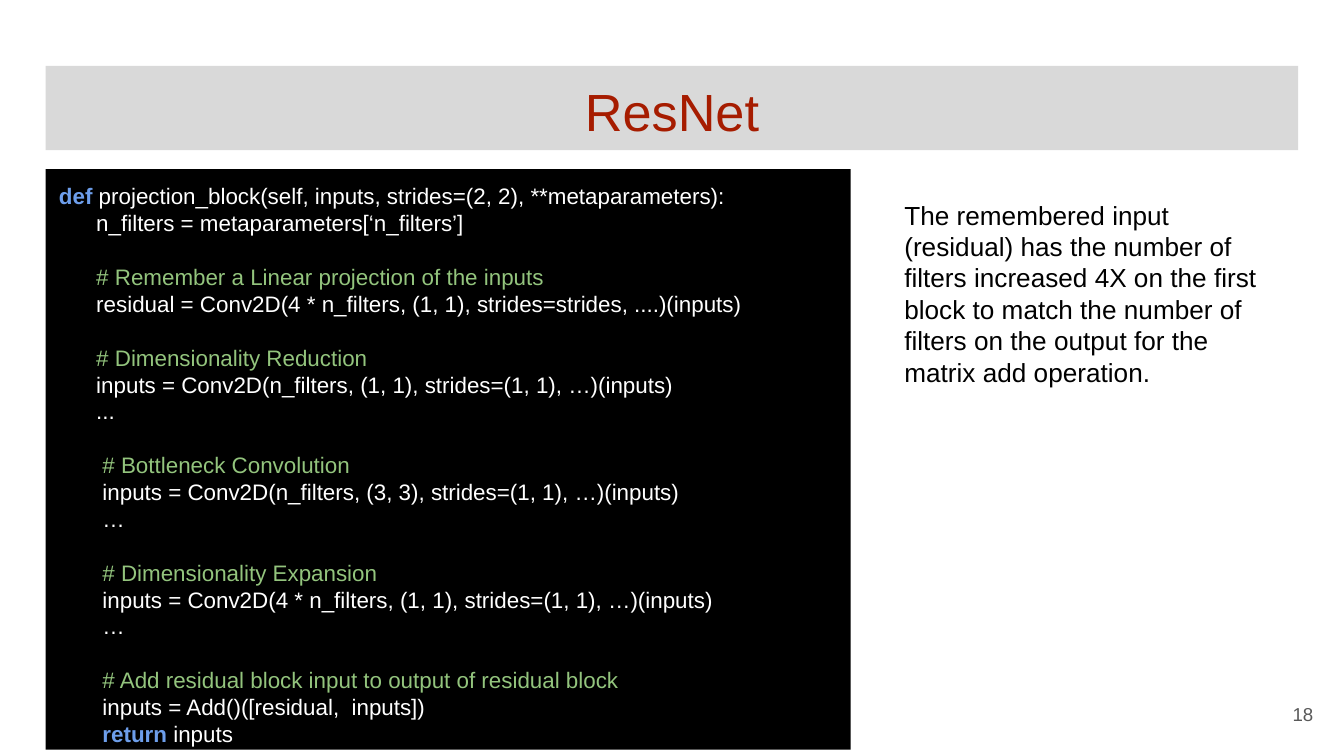
from pptx import Presentation
from pptx.dml.color import RGBColor
from pptx.enum.shapes import MSO_SHAPE
from pptx.enum.text import MSO_ANCHOR, PP_ALIGN
from pptx.util import Pt

COLORS = {
    "banner": "D9D9D9",
    "title": "A61C00",
    "panel": "000000",
    "keyword": "6D9EEB",
    "comment": "93C47D",
    "code": "FFFFFF",
    "body": "000000",
    "number": "595959",
}
FONT = "Arial"
LEADING = 1.2
CODE_SIZE = 12
SPACE_WIDTH = 3.33

# Each block is (indent in spaces, lines); a gap separates the blocks.
CODE_BLOCKS = [
    (0, ["def projection_block(self, inputs, strides=(2, 2), **metaparameters):"]),
    (6, ["n_filters = metaparameters[‘n_filters’]"]),
    (6, ["# Remember a Linear projection of the inputs",
         "residual = Conv2D(4 * n_filters, (1, 1), strides=strides, ....)(inputs)"]),
    (6, ["# Dimensionality Reduction",
         "inputs = Conv2D(n_filters, (1, 1), strides=(1, 1), …)(inputs)",
         "..."]),
    (7, ["# Bottleneck Convolution",
         "inputs = Conv2D(n_filters, (3, 3), strides=(1, 1), …)(inputs)",
         "…"]),
    (7, ["# Dimensionality Expansion",
         "inputs = Conv2D(4 * n_filters, (1, 1), strides=(1, 1), …)(inputs)",
         "…"]),
    (7, ["# Add residual block input to output of residual block",
         "inputs = Add()([residual,  inputs])",
         "return inputs"]),
]
NOTE = ("The remembered input (residual) has the number of filters increased 4X "
        "on the first block to match the number of filters on the output for the "
        "matrix add operation.")


def color(name):
    return RGBColor.from_string(COLORS[name])


def prepare_frame(box, anchor=MSO_ANCHOR.TOP):
    frame = box.text_frame
    frame.word_wrap = True
    frame.vertical_anchor = anchor
    frame.margin_left = frame.margin_right = Pt(7.2)
    frame.margin_top = frame.margin_bottom = Pt(7.2)
    return frame


def add_panel(page, left, top, width, height, fill):
    """Add a borderless filled rectangle and return its text frame."""
    panel = page.shapes.add_shape(
        MSO_SHAPE.RECTANGLE, Pt(left), Pt(top), Pt(width), Pt(height))
    panel.shadow.inherit = False
    panel.fill.solid()
    panel.fill.fore_color.rgb = color(fill)
    panel.line.fill.background()
    return prepare_frame(panel)


def add_text_box(page, left, top, width, height, anchor=MSO_ANCHOR.TOP):
    box = page.shapes.add_textbox(Pt(left), Pt(top), Pt(width), Pt(height))
    return prepare_frame(box, anchor)


def style_paragraph(para, size, align=PP_ALIGN.LEFT):
    para.alignment = align
    para.line_spacing = Pt(size * LEADING)
    para.font.name = FONT
    para.font.size = Pt(size)


def write_text(frame, text, size, ink, align=PP_ALIGN.LEFT):
    para = frame.paragraphs[0]
    style_paragraph(para, size, align)
    span = para.add_run()
    span.text = text
    span.font.color.rgb = color(ink)


def split_line(line):
    """Return (text, color name) pairs for one line of code."""
    if line.startswith("#"):
        return [(line, "comment")]
    first, space, rest = line.partition(" ")
    if first in ("def", "return"):
        return [(first, "keyword"), (space + rest, "code")]
    return [(line, "code")]


def write_code_line(para, line, indent):
    style_paragraph(para, CODE_SIZE)
    properties = para._p.get_or_add_pPr()
    properties.set("marL", str(Pt(indent * SPACE_WIDTH)))
    properties.set("indent", "0")
    for text, ink in split_line(line):
        span = para.add_run()
        span.text = text
        span.font.bold = ink == "keyword"
        span.font.color.rgb = color(ink)


def write_code(frame):
    para = frame.paragraphs[0]
    for block, (indent, lines) in enumerate(CODE_BLOCKS):
        for row, line in enumerate(lines):
            if block or row:
                para = frame.add_paragraph()
            write_code_line(para, line, indent)
            if row == 0 and line.startswith("#"):
                para.space_before = Pt(CODE_SIZE * LEADING)


def main():
    deck = Presentation()
    deck.slide_width, deck.slide_height = Pt(720), Pt(405)
    page = deck.slides.add_slide(deck.slide_layouts[6])

    banner = add_panel(page, 24.5, 35.3, 671, 45.2, "banner")
    write_text(banner, "ResNet", 28, "title", PP_ALIGN.CENTER)
    write_code(add_panel(page, 24.5, 90.6, 431.3, 311, "panel"))
    write_text(add_text_box(page, 477.4, 99.4, 204.5, 284.4), NOTE, 14, "body")
    number = add_text_box(page, 667.4, 367.2, 43.2, 31, MSO_ANCHOR.MIDDLE)
    write_text(number, "18", 10, "number", PP_ALIGN.RIGHT)

    deck.save("out.pptx")


if __name__ == "__main__":
    main()
